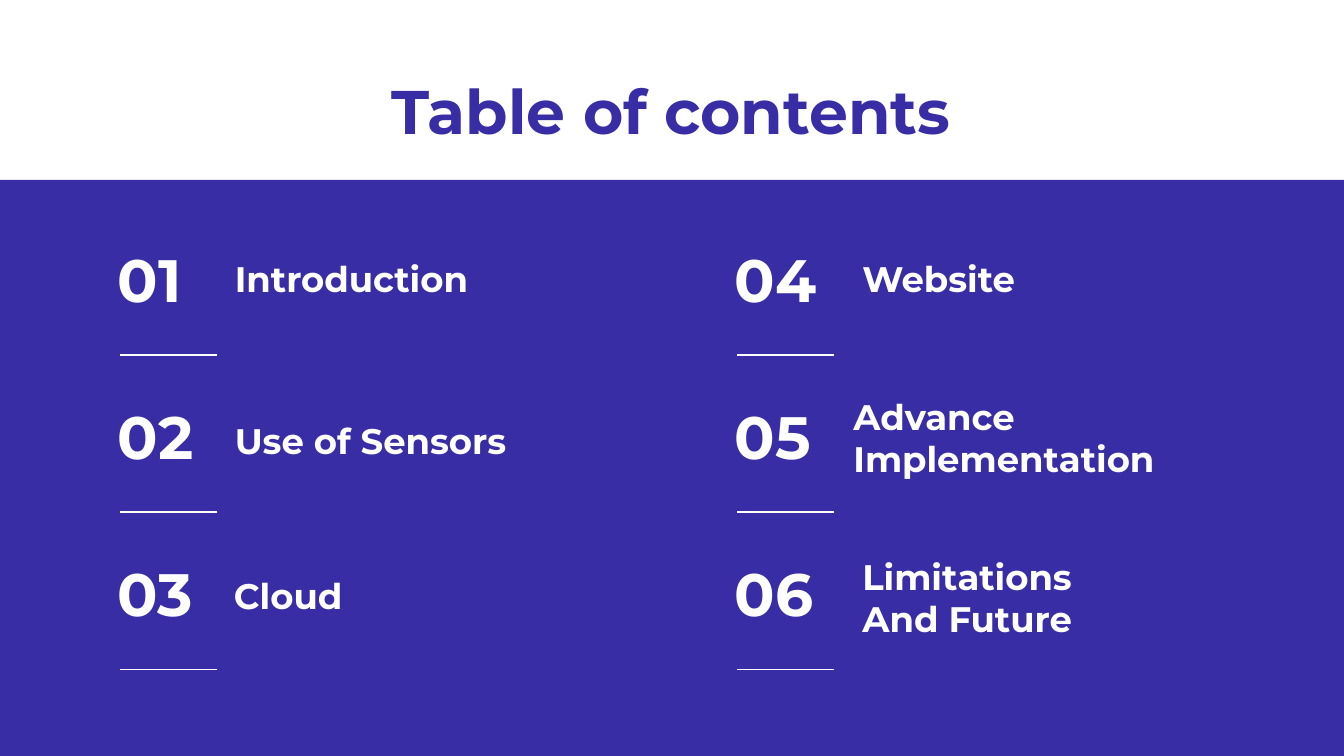
from dataclasses import dataclass

from lxml.etree import SubElement
from pptx import Presentation
from pptx.dml.color import RGBColor
from pptx.enum.shapes import MSO_CONNECTOR, MSO_SHAPE
from pptx.enum.text import MSO_ANCHOR, PP_ALIGN
from pptx.oxml.ns import qn
from pptx.slide import Slide
from pptx.util import Cm, Pt

COLORS = {"indigo": "382DA4", "white": "FFFFFF"}
FONT = "Montserrat"
COLUMNS = (1.98, 13.64)
ROWS = 3
TOP, STEP = 4.47, 2.97
HEIGHT = 1.6


@dataclass
class Topic:
    lines: tuple[str, ...]
    left: float
    top: float
    width: float = 7.57


TOPICS = (
    Topic(("Introduction",), 4.19, 4.47),
    Topic(("Use of Sensors",), 4.19, 7.52, 8.05),
    Topic(("Cloud",), 4.17, 10.46),
    Topic(("Website",), 16.05, 4.47),
    Topic(("Advance Implementation",), 15.88, 7.47, 8.41),
    Topic(("Limitations ", "And Future"), 16.05, 10.49),
)


def color(name: str) -> RGBColor:
    return RGBColor.from_string(COLORS[name])


def add_text(slide: Slide, lines: tuple[str, ...], left: float, top: float,
             width: float, size: int, hue: str = "white",
             align: PP_ALIGN = PP_ALIGN.LEFT,
             anchor: MSO_ANCHOR = MSO_ANCHOR.MIDDLE) -> None:
    """Add one bold paragraph with a line break between the lines."""
    box = slide.shapes.add_textbox(Cm(left), Cm(top), Cm(width), Cm(HEIGHT))
    frame = box.text_frame
    frame.word_wrap = True
    frame.vertical_anchor = anchor
    frame.margin_left = frame.margin_right = Cm(0.25)
    frame.margin_top = frame.margin_bottom = Cm(0.25)
    para = frame.paragraphs[0]
    para.alignment = align
    for index, line in enumerate(lines):
        if index:
            para.add_line_break()
        run = para.add_run()
        run.text = line
        run.font.name = FONT
        run.font.size = Pt(size)
        run.font.bold = True
        run.font.color.rgb = color(hue)


def add_rule(slide: Slide, left: float, top: float) -> None:
    rule = slide.shapes.add_connector(
        MSO_CONNECTOR.STRAIGHT, Cm(left + 1.85), Cm(top), Cm(left), Cm(top))
    rule.line.color.rgb = color("white")
    rule.line.width = Pt(0.75)
    SubElement(rule._element.spPr, qn("a:effectLst"))


def add_band(slide: Slide) -> None:
    band = slide.shapes.add_shape(
        MSO_SHAPE.RECTANGLE, 0, Cm(3.4), Cm(25.4), Cm(10.89))
    band.shadow.inherit = False
    band.fill.solid()
    band.fill.fore_color.rgb = color("indigo")
    band.line.fill.background()


def main() -> None:
    deck = Presentation()
    deck.slide_width, deck.slide_height = Cm(25.4), Cm(14.29)
    slide = deck.slides.add_slide(deck.slide_layouts[6])
    add_band(slide)
    add_text(slide, ("Table of contents",), 2, 1.12, 21.36, 33, "indigo",
             PP_ALIGN.CENTER, MSO_ANCHOR.TOP)
    for index, topic in enumerate(TOPICS):
        column, row = divmod(index, ROWS)
        left, top = COLUMNS[column], TOP + row * STEP
        add_text(slide, topic.lines, topic.left, topic.top, topic.width, 19)
        add_text(slide, (f"{index + 1:02}",), left, top, 2.39, 32)
        add_rule(slide, left + 0.28, top + 2.24)
    deck.save("out.pptx")


if __name__ == "__main__":
    main()
